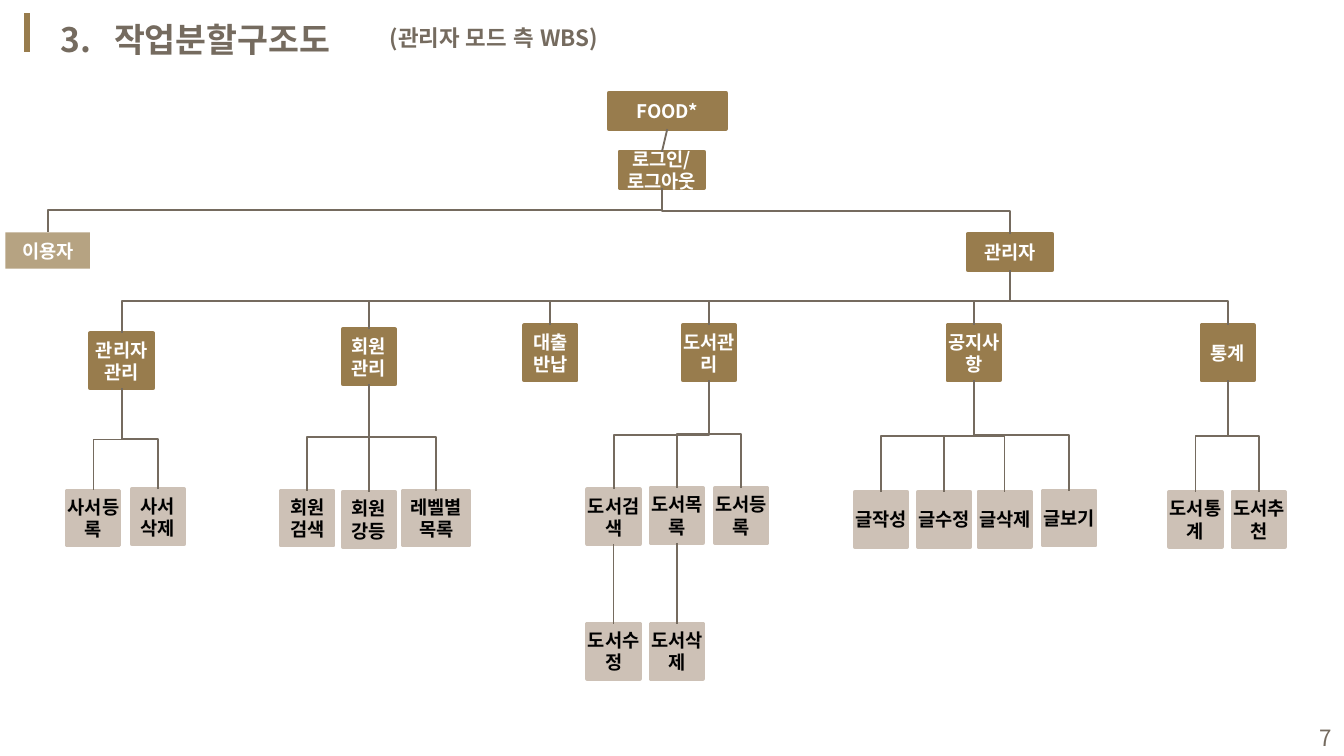
from lxml import etree
from pptx import Presentation
from pptx.dml.color import RGBColor
from pptx.enum.lang import MSO_LANGUAGE_ID as Lang
from pptx.enum.shapes import MSO_CONNECTOR as Conn, MSO_SHAPE as Shape
from pptx.enum.text import MSO_ANCHOR as Anchor, PP_ALIGN as Align
from pptx.oxml.ns import qn
from pptx.util import Inches, Pt

FONT = "Noto Sans CJK KR"
COLOR = {"gold": "987C4D", "sand": "CDC1B6", "gray": "756B5F",
         "white": "FFFFFF", "black": "000000"}
TOP, BOTTOM = 0, 2
BUS = 2.24  # height of the line above the main tasks

# Each task: label, left, top, width
TREE = [
    (("관리자관리", 0.67, 2.48, 0.47),
     [("사서등록", 0.5, 3.65, 0.39), ("사서\n삭제", 0.98, 3.64, 0.39)]),
    (("회원\n관리", 2.55, 2.45, 0.39),
     [("회원\n검색", 2.09, 3.65, 0.39), ("회원\n강등", 2.55, 3.66, 0.39),
      ("레벨별\n목록", 3.0, 3.65, 0.49)]),
    (("대출\n반납", 3.9, 2.42, 0.39), []),
    (("도서관리", 5.08, 2.42, 0.39),
     [("도서검색", 4.37, 3.64, 0.39), ("도서목록", 4.84, 3.63, 0.39),
      ("도서등록", 5.32, 3.63, 0.39)]),
    (("공지사항", 7.05, 2.42, 0.39),
     [("글작성", 6.36, 3.66, 0.39), ("글수정", 6.83, 3.66, 0.39),
      ("글삭제", 7.28, 3.66, 0.39), ("글보기", 7.76, 3.65, 0.39)]),
    (("통계", 8.94, 2.42, 0.39),
     [("도서통계", 8.7, 3.66, 0.39), ("도서추천", 9.17, 3.66, 0.39)]),
]
SUBS = {"도서검색": ("도서수정", 4.37, 4.64, 0.39),
        "도서목록": ("도서삭제", 4.84, 4.64, 0.39)}


def rgb(name):
    return RGBColor.from_string(COLOR[name])


def write(frame, text, size, color, bold=True, align=None):
    """Fill a text frame, one paragraph for each line of text."""
    frame.word_wrap = True
    for i, line in enumerate(text.split("\n")):
        para = frame.add_paragraph() if i else frame.paragraphs[0]
        para.alignment = align
        run = para.add_run()
        run.text = line
        font = run.font
        font.size, font.bold, font.name = Pt(size), bold, FONT
        font.language_id = Lang.KOREAN
        font.color.rgb = rgb(color)
        east = etree.SubElement(run._r.get_or_add_rPr(), qn("a:ea"))
        east.set("typeface", FONT)


def add_label(slide, text, x, y, w, h, size, **style):
    label = slide.shapes.add_textbox(*map(Inches, (x, y, w, h)))
    write(label.text_frame, text, size, "gray", **style)
    return label


def add_box(slide, text, x, y, w, h=0.41, fill="gold", ink="white"):
    box = slide.shapes.add_shape(
        Shape.RECTANGLE, *map(Inches, (x, y, w, h)))
    box.shadow.inherit = False
    box.fill.solid()
    box.fill.fore_color.rgb = rgb(fill)
    box.line.color.rgb = rgb(fill)
    box.line.width = Pt(2)
    frame = box.text_frame
    frame.margin_left = frame.margin_right = 0
    frame.margin_top = frame.margin_bottom = 0
    frame.vertical_anchor = Anchor.MIDDLE
    write(frame, text, 10, ink, align=Align.CENTER)
    return box


def add_line(slide, kind, ends, color="gray", width=1):
    line = slide.shapes.add_connector(kind, *map(int, ends))
    line.line.color.rgb = rgb(color)
    line.line.width = Pt(width)
    etree.SubElement(line._element.spPr, qn("a:effectLst"))
    return line


def mid(box):
    return box.left + box.width / 2


def add_elbow(slide, upper, lower, bend=None):
    """Run down, across and down between two boxes by turning an elbow."""
    x1, y1 = mid(upper), upper.top + upper.height
    x2, y2 = mid(lower), lower.top
    w, h = y2 - y1, abs(x2 - x1)
    left, top = (x1 + x2 - w) / 2, (y1 + y2 - h) / 2
    right = x2 > x1
    start, stop = (left + w, left) if right else (left, left + w)
    line = add_line(slide, Conn.ELBOW, (start, top, stop, top + h))
    line.rotation = 270 if right else 90
    if bend:
        guides = line._element.spPr.find(qn("a:prstGeom")).find(qn("a:avLst"))
        guide = etree.SubElement(guides, qn("a:gd"))
        guide.set("name", "adj1")
        guide.set("fmla", f"val {round(bend * 100000)}")


def add_stub(slide, box):
    """Join the top of a box to the bus line."""
    x = mid(box)
    line = add_line(slide, Conn.STRAIGHT, (x, box.top, x, Inches(BUS)))
    line.begin_connect(box, TOP)


def add_head(slide):
    bar = [Inches(n) for n in (0.2, 0.1, 0.2, 0.39)]
    add_line(slide, Conn.STRAIGHT, bar, "gold", 3)
    title = add_label(slide, "3.\t작업분할구조도", 0.35, 0.09, 3.21, 0.4, 18)
    props = title.text_frame.paragraphs[0]._p.get_or_add_pPr()
    props.set("marL", str(Inches(0.4)))
    props.set("indent", str(-Inches(0.4)))
    add_label(slide, "(관리자 모드 측 WBS)", 2.8, 0.13, 1.81, 0.3, 12)
    page = add_label(slide, "7", 7.68, 5.34, 2.33, 0.3, 12,
                     bold=False, align=Align.RIGHT)
    page.text_frame.vertical_anchor = Anchor.MIDDLE


def add_roots(slide):
    """Draw the upper levels and return the manager box."""
    root = add_box(slide, "FOOD*", 4.53, 0.69, 0.87, 0.27)
    login = add_box(slide, "로그인/\n로그아웃", 4.61, 1.13, 0.63, 0.27)
    user = add_box(slide, "이용자", 0.04, 1.73, 0.63, 0.27)
    user.line.fill.background()
    tint = user._element.spPr.find(qn("a:solidFill"))[0]
    etree.SubElement(tint, qn("a:alpha")).set("val", "70000")
    admin = add_box(slide, "관리자", 7.2, 1.74, 0.63, 0.27)
    line = add_line(slide, Conn.STRAIGHT, (
        mid(root), root.top + root.height, mid(login), login.top))
    line.begin_connect(root, BOTTOM)
    line.end_connect(login, TOP)
    for box in (user, admin):
        add_elbow(slide, login, box)
    return admin


def add_leaf(slide, upper, task):
    leaf = add_box(slide, *task, fill="sand", ink="black")
    add_elbow(slide, upper, leaf)
    return leaf


def add_tree(slide, admin):
    last = len(TREE) - 1
    for i, (task, kids) in enumerate(TREE):
        box = add_box(slide, *task)
        if i in (0, last):
            gap = box.top - admin.top - admin.height
            drop = Inches(BUS) - admin.top - admin.height
            add_elbow(slide, admin, box, drop / gap)
        else:
            add_stub(slide, box)
        for kid in kids:
            leaf = add_leaf(slide, box, kid)
            if kid[0] in SUBS:
                add_leaf(slide, leaf, SUBS[kid[0]])


def main():
    deck = Presentation()
    deck.slide_width = Inches(10)
    deck.slide_height = deck.slide_width * 9 // 16
    slide = deck.slides.add_slide(deck.slide_layouts[6])
    add_head(slide)
    add_tree(slide, add_roots(slide))
    deck.save("out.pptx")


if __name__ == "__main__":
    main()
